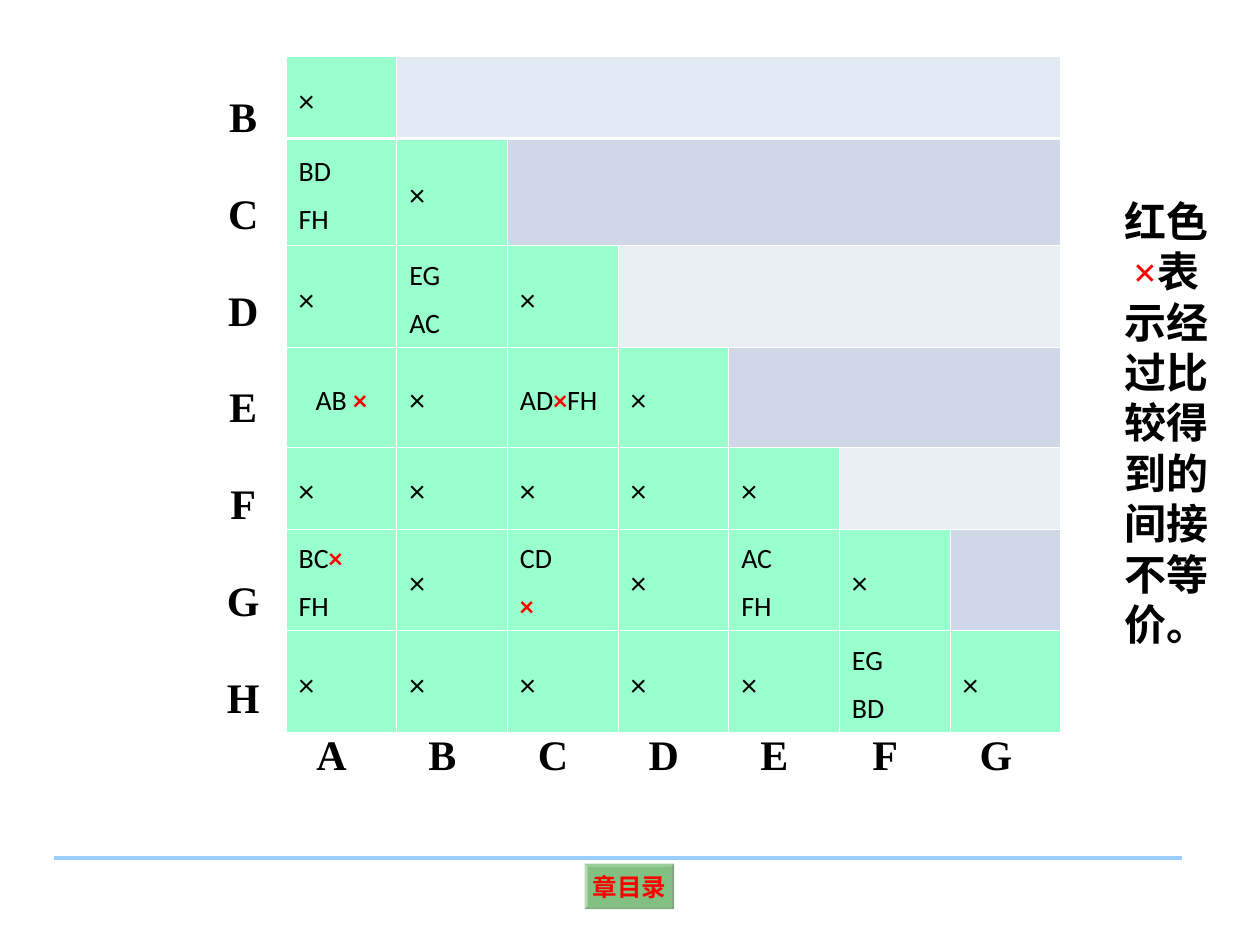
from collections import namedtuple
from lxml.etree import SubElement
from pptx import Presentation
from pptx.dml.color import RGBColor
from pptx.enum.shapes import MSO_CONNECTOR, MSO_SHAPE
from pptx.enum.text import MSO_ANCHOR, PP_ALIGN
from pptx.oxml.ns import qn
from pptx.util import Inches, Pt

Box = namedtuple("Box", "x y w h")
W, H = Inches(10), Inches(7.5)
SERIF, SANS = "Times New Roman", "Calibri"
BLACK, RED, WHITE, GREEN = "000000", "FF0000", "FFFFFF", "99FFCC"
ROW_LABELS, COLUMN_LABELS = "BCDEFGH", "ABCDEFG"
ROW_HEIGHTS = [0.65, 0.85, 0.8, 0.79, 0.65, 0.8, 0.79]
REST_FILLS = ["E2EBF4", "D0D8E8", "E9EDF4", "D0D8E8", "E9EDF4", "D0D8E8"]
PAIRS = [
    ["×"],
    ["BD|FH", "×"],
    ["×", "EG|AC", "×"],
    ["AB ×", "×", "AD×FH", "×"],
    ["×"] * 5,
    ["BC×|FH", "×", "CD|×", "×", "AC|FH", "×"],
    ["×"] * 5 + ["EG|BD", "×"],
]


def percent_box(x, y, w, h):
    """Return a box given in percent of the slide's width and height."""
    return Box(int(W * x / 100), int(H * y / 100), int(W * w / 100), int(H * h / 100))


def color(value):
    """Return a colour from its hex string."""
    return RGBColor.from_string(value)


def add_run(p, text, size, font=SERIF, fill=BLACK, bold=True):
    """Add one formatted run to a paragraph."""
    r = p.add_run()
    r.text = text
    r.font.size, r.font.name, r.font.bold = Pt(size), font, bold
    r.font.color.rgb = color(fill)


def next_paragraph(tf, index, space):
    """Return the paragraph at an index, spaced from the one before it."""
    if index == 0:
        return tf.paragraphs[0]
    p = tf.add_paragraph()
    p.space_before = Pt(space)
    return p


def add_text_frame(s, box):
    """Add a wrapping text box and return its text frame."""
    tf = s.shapes.add_textbox(*box).text_frame
    tf.word_wrap = True
    return tf


def set_borders(cell, bottom, top):
    """Give a cell white borders, with the widths of its top and bottom."""
    widths = {"a:lnL": 0.45, "a:lnR": 0.45, "a:lnT": top, "a:lnB": bottom}
    for tag, width in widths.items():
        line = SubElement(cell._tc.get_or_add_tcPr(), qn(tag), w=str(Pt(width)))
        SubElement(SubElement(line, qn("a:solidFill")), qn("a:srgbClr"), val=WHITE)


def fill_pair(cell, text):
    """Write the implied pairs of one cell, marking indirect crosses in red."""
    tf = cell.text_frame
    direct = text == "×"
    for i, line in enumerate(text.split("|")):
        p = next_paragraph(tf, i, 4)
        p.line_spacing = 1.2
        if text == "AB ×":
            p.alignment = PP_ALIGN.CENTER
        for part in filter(None, line.partition("×")):
            indirect = part == "×" and not direct
            add_run(p, part, 18 if direct else 16, SANS, RED if indirect else BLACK, indirect)


def add_implication_table(s, box):
    """Add the staircase table of state pairs."""
    n = len(PAIRS)
    table = s.shapes.add_table(n, n, *box).table
    table.first_row = table.horz_banding = False
    for column in table.columns:
        column.width = box.w // n
    for i, pairs in enumerate(PAIRS):
        table.rows[i].height = int(box.h * ROW_HEIGHTS[i] / sum(ROW_HEIGHTS))
        for j in range(n):
            cell = table.cell(i, j)
            set_borders(cell, 1.47 if i == 0 else 0.45, 1.47 if i == 1 else 0.45)
            cell.vertical_anchor = MSO_ANCHOR.MIDDLE
            cell.fill.solid()
            cell.fill.fore_color.rgb = color(GREEN if j <= i else REST_FILLS[i])
            if j <= i:
                fill_pair(cell, pairs[j])
        if i < n - 2:
            table.cell(i, i + 1).merge(table.cell(i, n - 1))


def add_column_labels(s, box):
    """Add the state names below the table, one centred tab per column."""
    p = add_text_frame(s, box).paragraphs[0]
    tabs = SubElement(p._p.get_or_add_pPr(), qn("a:tabLst"))
    step = box.w / len(COLUMN_LABELS)
    for i, label in enumerate(COLUMN_LABELS):
        SubElement(tabs, qn("a:tab"), pos=str(int(step * (i + 0.3))), algn="ctr")
        add_run(p, "\t" + label, 24)


def add_row_labels(s, box):
    """Add the state names to the left of the table."""
    tf = add_text_frame(s, box)
    for i, label in enumerate(ROW_LABELS):
        p = next_paragraph(tf, i, 15)
        p.alignment, p.line_spacing = PP_ALIGN.CENTER, 1.4
        add_run(p, label, 24)


def add_legend(s, box):
    """Add the note that explains the red crosses."""
    p = add_text_frame(s, box).paragraphs[0]
    p.alignment = PP_ALIGN.CENTER
    add_run(p, "红色", 24)
    add_run(p, "×", 24, fill=RED)
    add_run(p, "表示经过比较得到的间接不等价。", 24)


def add_footer(s, rule, button):
    """Add the footer rule and the contents button."""
    line = s.shapes.add_connector(
        MSO_CONNECTOR.STRAIGHT, rule.x, rule.y, rule.x + rule.w, rule.y + rule.h)
    line.line.color.rgb, line.line.width = color("99CCFF"), Pt(2.25)
    SubElement(line._element.spPr, qn("a:effectLst"))
    sp = s.shapes.add_shape(MSO_SHAPE.BEVEL, *button)
    sp.adjustments[0] = 0.06
    sp.shadow.inherit = False
    sp.fill.solid()
    sp.fill.fore_color.rgb = color("008000")
    SubElement(sp.fill._xPr.find(".//" + qn("a:srgbClr")), qn("a:alpha"), val="49000")
    sp.line.fill.background()
    tf = sp.text_frame
    tf.word_wrap, tf.vertical_anchor = False, MSO_ANCHOR.MIDDLE
    tf.margin_left = tf.margin_right = tf.margin_top = tf.margin_bottom = Inches(0.04)
    p = tf.paragraphs[0]
    p.alignment = PP_ALIGN.CENTER
    add_run(p, "章目录", 14, fill=RED)


def main():
    """Build and save the slide."""
    prs = Presentation()
    prs.slide_width, prs.slide_height = W, H
    s = prs.slides.add_slide(prs.slide_layouts[6])
    add_footer(s, percent_box(4.3, 90.8, 89.5, 0), percent_box(46.4, 91.4, 7.1, 4.8))
    add_implication_table(s, percent_box(22.7, 6, 61.5, 71.07))
    add_column_labels(s, percent_box(22.7, 76.4, 61.5, 6.67))
    add_row_labels(s, percent_box(15.9, 6.8, 6.8, 70.27))
    add_legend(s, percent_box(87.9, 20, 9.3, 49.33))
    prs.save("out.pptx")


if __name__ == "__main__":
    main()
